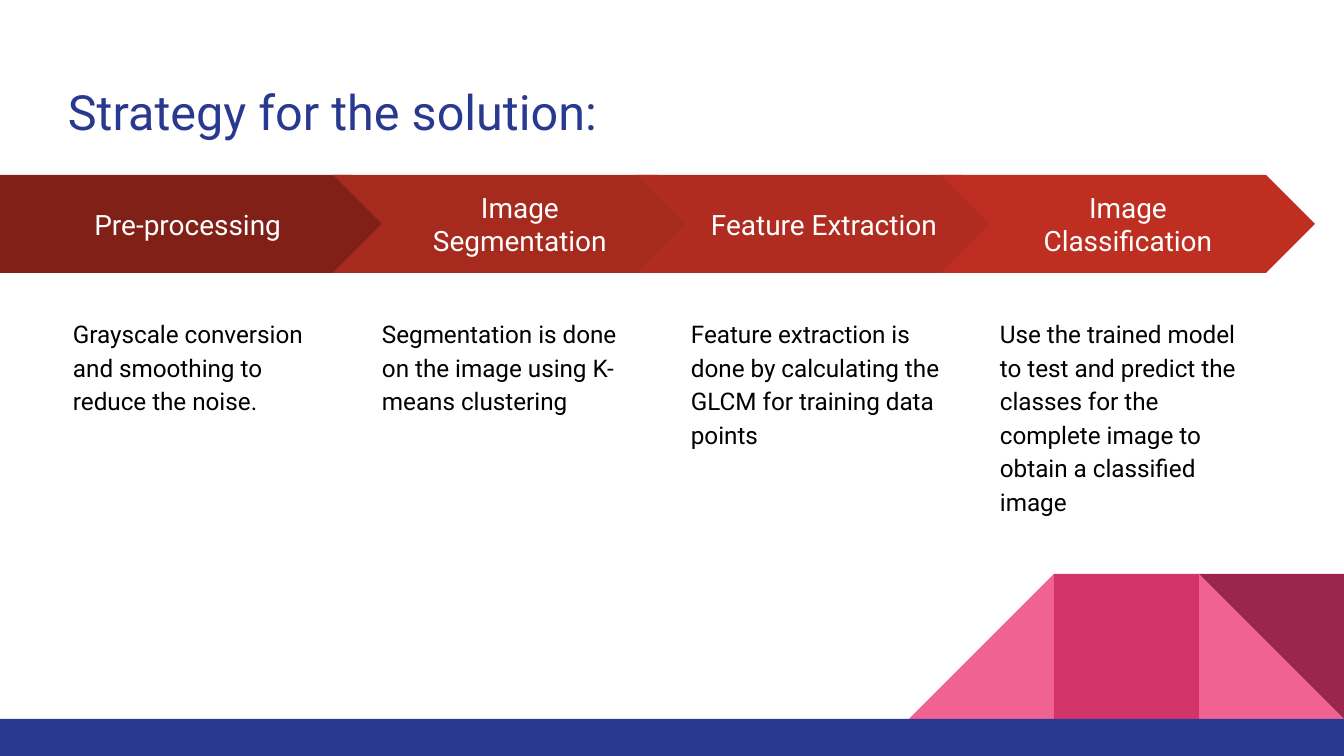
from pptx import Presentation
from pptx.dml.color import RGBColor
from pptx.enum.shapes import MSO_SHAPE as Shape
from pptx.enum.text import MSO_ANCHOR as Anchor, PP_ALIGN as Align
from pptx.util import Emu, Pt

TITLE = "Strategy for the solution:"
STAGES = [
    ("Pre-processing", "802017",
     "Grayscale conversion and smoothing to reduce the noise."),
    ("Image Segmentation", "A72A1E",
     "Segmentation is done on the image using K-means clustering"),
    ("Feature Extraction", "B02C20",
     "Feature extraction is done by calculating the GLCM for training data points"),
    ("Image Classification", "BE2F22",
     "Use the trained model to test and predict the classes for the complete image "
     "to obtain a classified image"),
]
NAVY, WHITE, BLACK = "2A3990", "FFFFFF", "000000"
WIDTH, HEIGHT = 1344, 756
BAR_HEIGHT, TILE = 37, 145
TILES = [
    (1, Shape.RIGHT_TRIANGLE, 0, "F06292"),
    (3, Shape.RIGHT_TRIANGLE, 270, "F06292"),
    (2, Shape.RECTANGLE, 0, "D23369"),
    (1, Shape.RIGHT_TRIANGLE, 180, "9C254D"),
]
ARROW_TOP, ARROW_HEIGHT, ARROW_STEP = 175, 98, 304
FIRST_ARROW, CHEVRON_LEFT, CHEVRON_WIDTH = 400, 333, 374
NOTE_LEFT, NOTE_TOP, NOTE_STEP = 60, 302, 309
NOTE_WIDTH, NOTE_HEIGHT = 280, 384


def px(length):
    return Emu(round(length * 914400 / 134.4))


def color(value):
    return RGBColor.from_string(value)


def add_shape(page, kind, box, fill):
    shape = page.shapes.add_shape(kind, *map(px, box))
    shape.shadow.inherit = False
    shape.fill.solid()
    shape.fill.fore_color.rgb = color(fill)
    shape.line.fill.background()
    return shape


def write(shape, text, size, ink, align=Align.LEFT, anchor=Anchor.TOP, spacing=1.0):
    frame = shape.text_frame
    frame.word_wrap = True
    frame.vertical_anchor = anchor
    frame.margin_left = frame.margin_right = px(13)
    frame.margin_top = frame.margin_bottom = px(13)
    para = frame.paragraphs[0]
    para.text = text
    para.alignment = align
    para.line_spacing = spacing
    para.font.name = "Roboto"
    para.font.size = Pt(size)
    para.font.color.rgb = color(ink)
    return para


def add_text(page, box, text, size, ink):
    return write(page.shapes.add_textbox(*map(px, box)), text, size, ink, spacing=1.15)


def add_decoration(page):
    bar_top = HEIGHT - BAR_HEIGHT
    for column, kind, angle, fill in TILES:
        box = (WIDTH - column * TILE, bar_top - TILE, TILE, TILE)
        add_shape(page, kind, box, fill).rotation = angle
    add_shape(page, Shape.RECTANGLE, (0, bar_top, WIDTH, BAR_HEIGHT), NAVY)


def add_stage(page, index, name, fill, note):
    if index == 0:
        kind, left, width = Shape.PENTAGON, 0, FIRST_ARROW
    else:
        kind, width = Shape.CHEVRON, CHEVRON_WIDTH
        left = CHEVRON_LEFT + (index - 1) * ARROW_STEP
    arrow = add_shape(page, kind, (left, ARROW_TOP, width, ARROW_HEIGHT), fill)
    write(arrow, name, 15, WHITE, Align.CENTER, Anchor.MIDDLE)
    note_left = NOTE_LEFT + index * NOTE_STEP
    add_text(page, (note_left, NOTE_TOP, NOTE_WIDTH, NOTE_HEIGHT), note, 13, BLACK)


def main():
    deck = Presentation()
    deck.slide_width, deck.slide_height = px(WIDTH), px(HEIGHT)
    page = deck.slides.add_slide(deck.slide_layouts[6])
    add_decoration(page)
    title = add_text(page, (55, 60, 1244, 89), TITLE, 26, NAVY)
    title.space_after = Pt(12)
    for index, stage in enumerate(STAGES):
        add_stage(page, index, *stage)
    deck.save("out.pptx")


if __name__ == "__main__":
    main()
